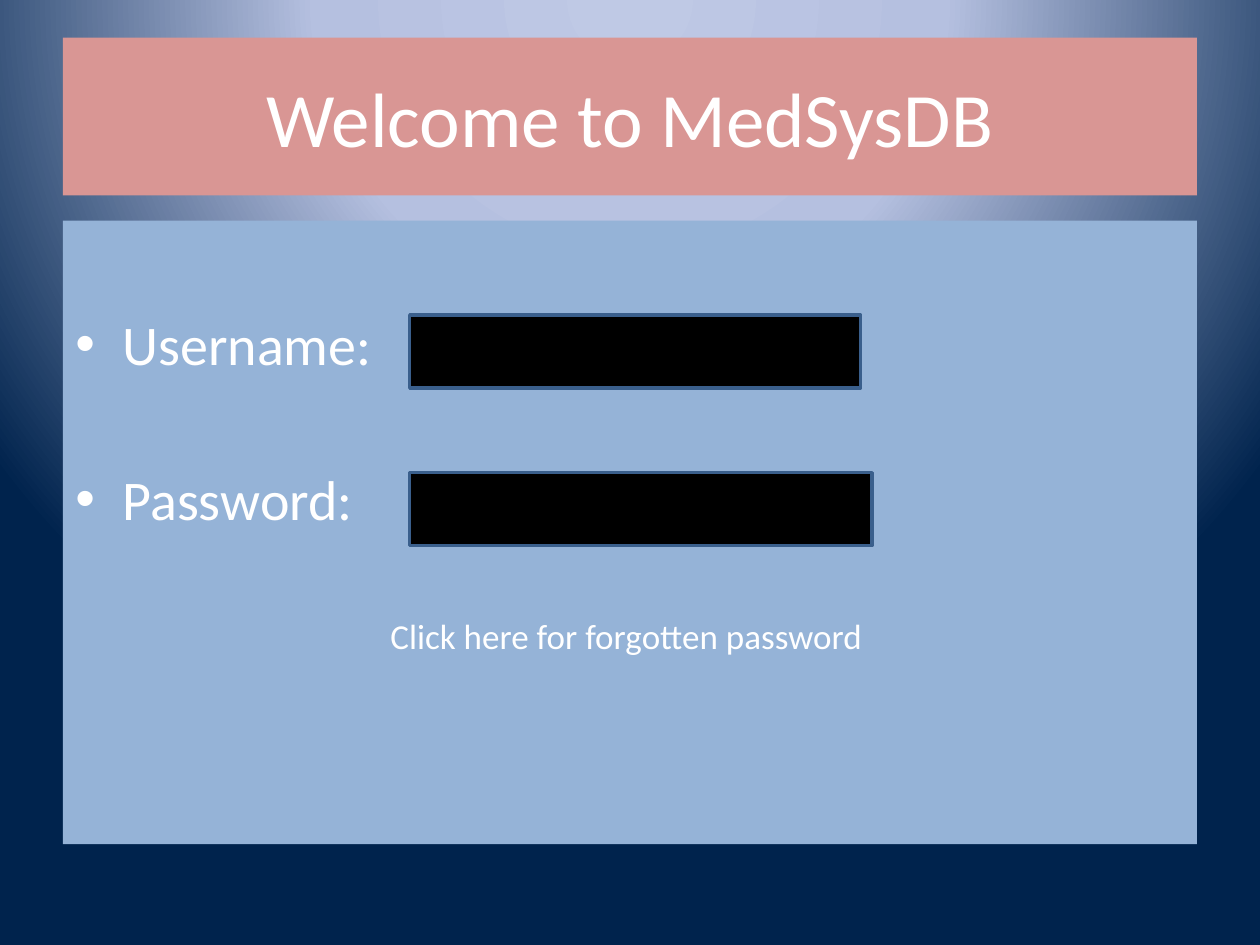
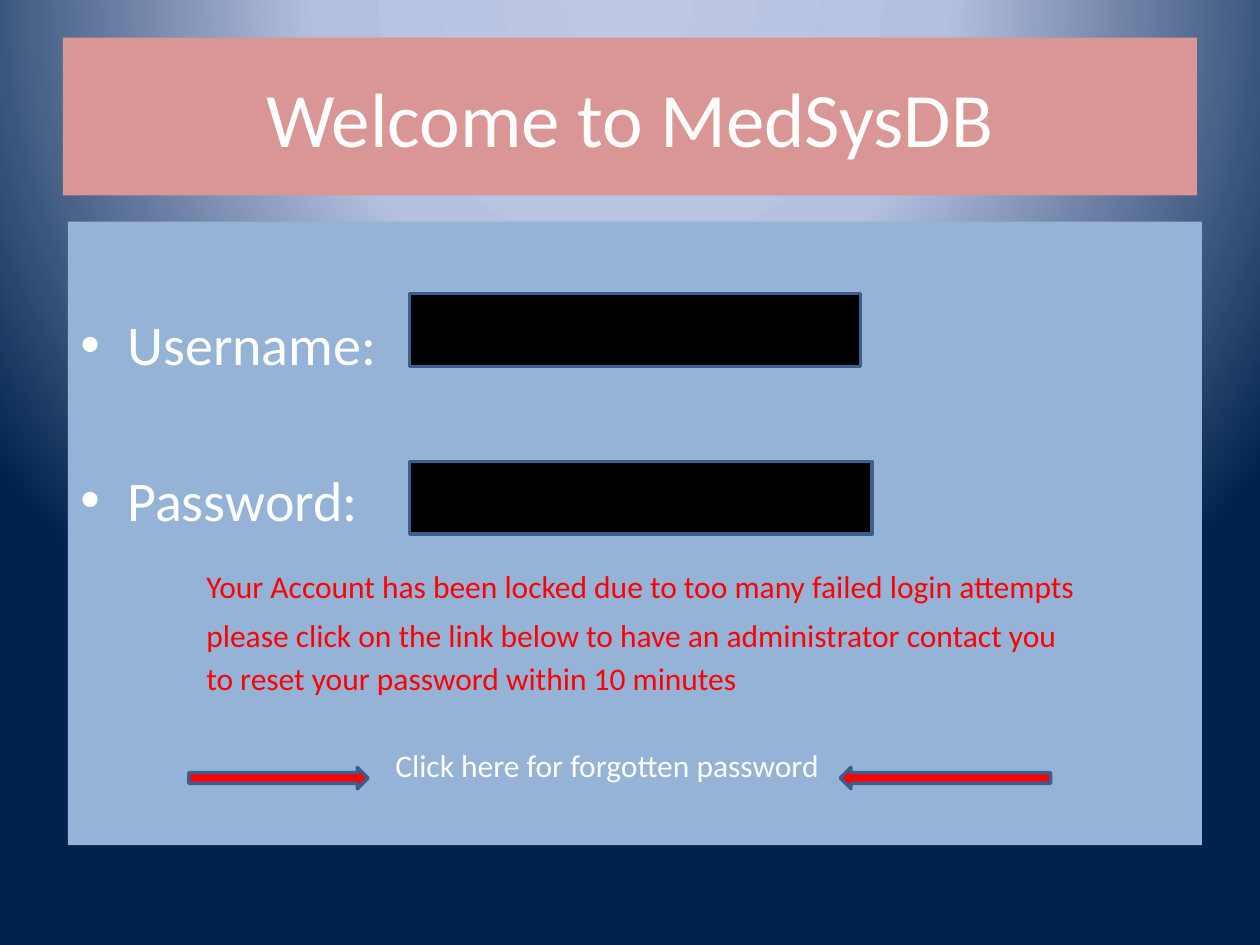
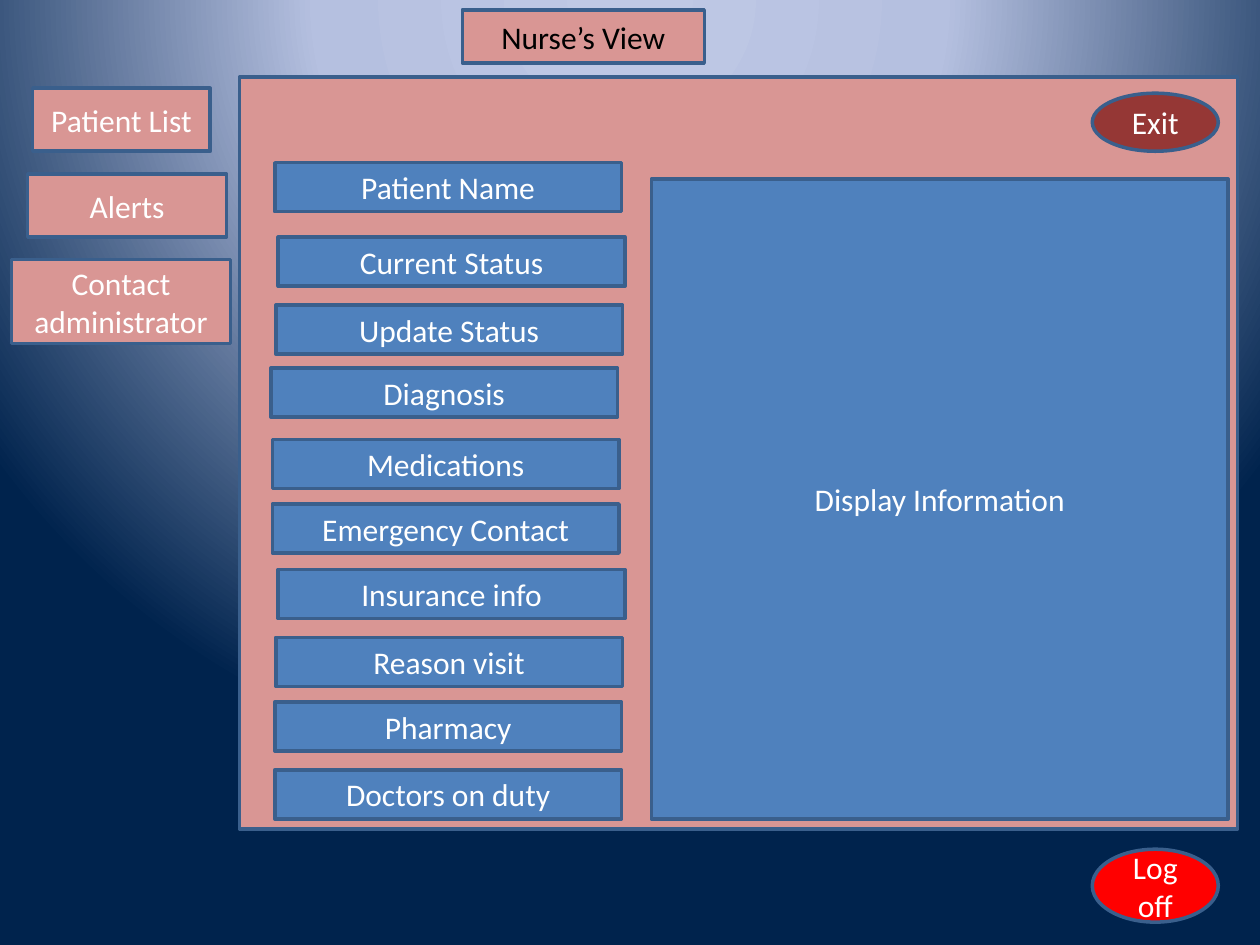
from pptx import Presentation
from pptx.dml.color import RGBColor
from pptx.enum.shapes import MSO_SHAPE
from pptx.enum.text import MSO_ANCHOR, PP_ALIGN
from pptx.oxml import parse_xml
from pptx.oxml.ns import nsdecls
from pptx.util import Cm, Pt

FONT = "Calibri"
COLORS = {
    "white": "FFFFFF", "black": "000000", "red": "FF0000", "maroon": "953735",
    "rose": "D99694", "sky": "95B3D7", "blue": "4F81BD", "edge": "3A5F8C",
}
STOPS = ((0, "BFC9E5"), (40, "B5C0E0"), (100, "00234D"))
FIELDS = [("Username:", 0), ("Password:", 50.5)]
LINK = "Click here for forgotten password"
LOCKED = [
    ("Your Account has been locked due to too many failed login attempts", 19.7),
    ("please click on the link below to have an administrator contact you", 6),
    ("to reset your password within 10 minutes", 3.2),
]
MENU = [
    ("Patient List", 0.66, 1.78, 3.58, 1.27),
    ("Alerts", 0.56, 3.51, 4.01, 1.27),
    ("Contact administrator", 0.23, 5.23, 4.42, 1.7),
]
RECORDS = [
    ("Patient Name", 5.54, 3.28), ("Current Status", 5.61, 4.78),
    ("Update Status", 5.56, 6.15), ("Diagnosis", 5.46, 7.42),
    ("Medications", 5.49, 8.86), ("Emergency Contact", 5.49, 10.16),
    ("Insurance info", 5.61, 11.48), ("Reason visit", 5.56, 12.85),
    ("Pharmacy", 5.54, 14.15), ("Doctors on duty", 5.54, 15.52),
]


def paint(name):
    """Return the named colour."""
    return RGBColor.from_string(COLORS[name])


def style(para, size, color):
    """Format every run of a paragraph."""
    for run in para.runs:
        run.font.name = FONT
        run.font.size = Pt(size)
        run.font.color.rgb = paint(color)


def new_slide(deck):
    """Add a blank slide with the shared glow behind it."""
    slide = deck.slides.add_slide(deck.slide_layouts[6])
    stops = "".join(
        f'<a:gs pos="{pos * 1000}"><a:srgbClr val="{tone}"/></a:gs>'
        for pos, tone in STOPS)
    slide.element[0].insert(0, parse_xml(
        f'<p:bg {nsdecls("p", "a")}><p:bgPr><a:gradFill rotWithShape="1">'
        f'<a:gsLst>{stops}</a:gsLst><a:path path="circle">'
        '<a:fillToRect l="50000" t="-80000" r="50000" b="180000"/></a:path>'
        '</a:gradFill><a:effectLst/></p:bgPr></p:bg>'))
    return slide


def add_block(slide, kind, area, fill, edge=True):
    """Add a filled shape, outlined unless edge is off."""
    block = slide.shapes.add_shape(kind, *map(Cm, area))
    block.shadow.inherit = False
    block.fill.solid()
    block.fill.fore_color.rgb = paint(fill)
    if edge:
        block.line.color.rgb = paint("edge")
        block.line.width = Pt(2)
    else:
        block.line.fill.background()
    return block


def add_label(slide, text, area, fill, kind=MSO_SHAPE.RECTANGLE,
              size=18, color="white", edge=True):
    """Add a shape with centred text."""
    frame = add_block(slide, kind, area, fill, edge).text_frame
    frame.word_wrap = True
    frame.vertical_anchor = MSO_ANCHOR.MIDDLE
    frame.text = text
    frame.paragraphs[0].alignment = PP_ALIGN.CENTER
    style(frame.paragraphs[0], size, color)


def add_line(frame, text, gap, size, color="white", indent=0, bullet=False):
    """Write the next left-aligned paragraph of a frame."""
    para = frame.paragraphs[0] if not frame.text else frame.add_paragraph()
    para.text = text
    para.alignment = PP_ALIGN.LEFT
    para.space_before = Pt(gap)
    style(para, size, color)
    props = para._p.get_or_add_pPr()
    props.set("marL", str(Cm(indent)))
    if bullet:
        props.set("indent", str(-Cm(indent)))
        for tag in ('buFont typeface="Arial"', 'buChar char="\u2022"'):
            props.append(parse_xml(f'<a:{tag} {nsdecls("a")}/>'))


def add_login(deck, left, top, tops, notice, link):
    """Build a login slide with its notice and its link."""
    slide = new_slide(deck)
    add_label(slide, "Welcome to MedSysDB", (1.27, 0.76, 22.86, 3.18),
              "rose", size=44, edge=False)
    body = add_block(slide, MSO_SHAPE.RECTANGLE, (left, top, 22.86, 12.57),
                     "sky", False)
    frame = body.text_frame
    frame.word_wrap = True
    frame.vertical_anchor = MSO_ANCHOR.TOP
    frame.margin_top = Cm(1.78)
    for text, gap in FIELDS:
        add_line(frame, text, gap, 32, indent=0.95, bullet=True)
    for text, gap in notice:
        add_line(frame, text, gap, 18, "red", 2.54)
    gap, size = link
    add_line(frame, LINK, gap, size, indent=6.35)
    for y, width in zip(tops, (9.09, 9.32)):
        add_block(slide, MSO_SHAPE.RECTANGLE, (8.26, y, width, 1.47), "black")
    return slide


def add_nurse(deck):
    """Build the nurse's dashboard."""
    slide = new_slide(deck)
    add_label(slide, "Nurse\u2019s View", (9.32, 0.2, 4.88, 1.07), "rose",
              color="black")
    for text, *area in MENU:
        add_label(slide, text, area, "rose")
    add_block(slide, MSO_SHAPE.RECTANGLE, (4.83, 1.55, 20.12, 15.16), "rose")
    for text, left, top in RECORDS:
        add_label(slide, text, (left, top, 6.99, 0.99), "blue")
    add_label(slide, "Display Information", (13.13, 3.61, 11.63, 12.9), "blue")
    for text, top, height, fill in (("Exit", 1.88, 1.17, "maroon"),
                                    ("Log off", 17.12, 1.47, "red")):
        add_label(slide, text, (22.02, top, 2.54, height), fill, MSO_SHAPE.OVAL)


def main():
    """Build and save the deck."""
    deck = Presentation()
    deck.slide_width, deck.slide_height = Cm(25.4), Cm(19.05)
    add_login(deck, 1.27, 4.45, (6.35, 9.53), [], (47, 20))
    locked = add_login(deck, 1.37, 4.47, (5.92, 9.3), LOCKED, (28.3, 18))
    for kind, left, width in ((MSO_SHAPE.LEFT_ARROW, 16.94, 4.24),
                              (MSO_SHAPE.RIGHT_ARROW, 3.81, 3.61)):
        add_block(locked, kind, (left, 15.47, width, 0.43), "red")
    add_nurse(deck)
    deck.save("out.pptx")


main()
